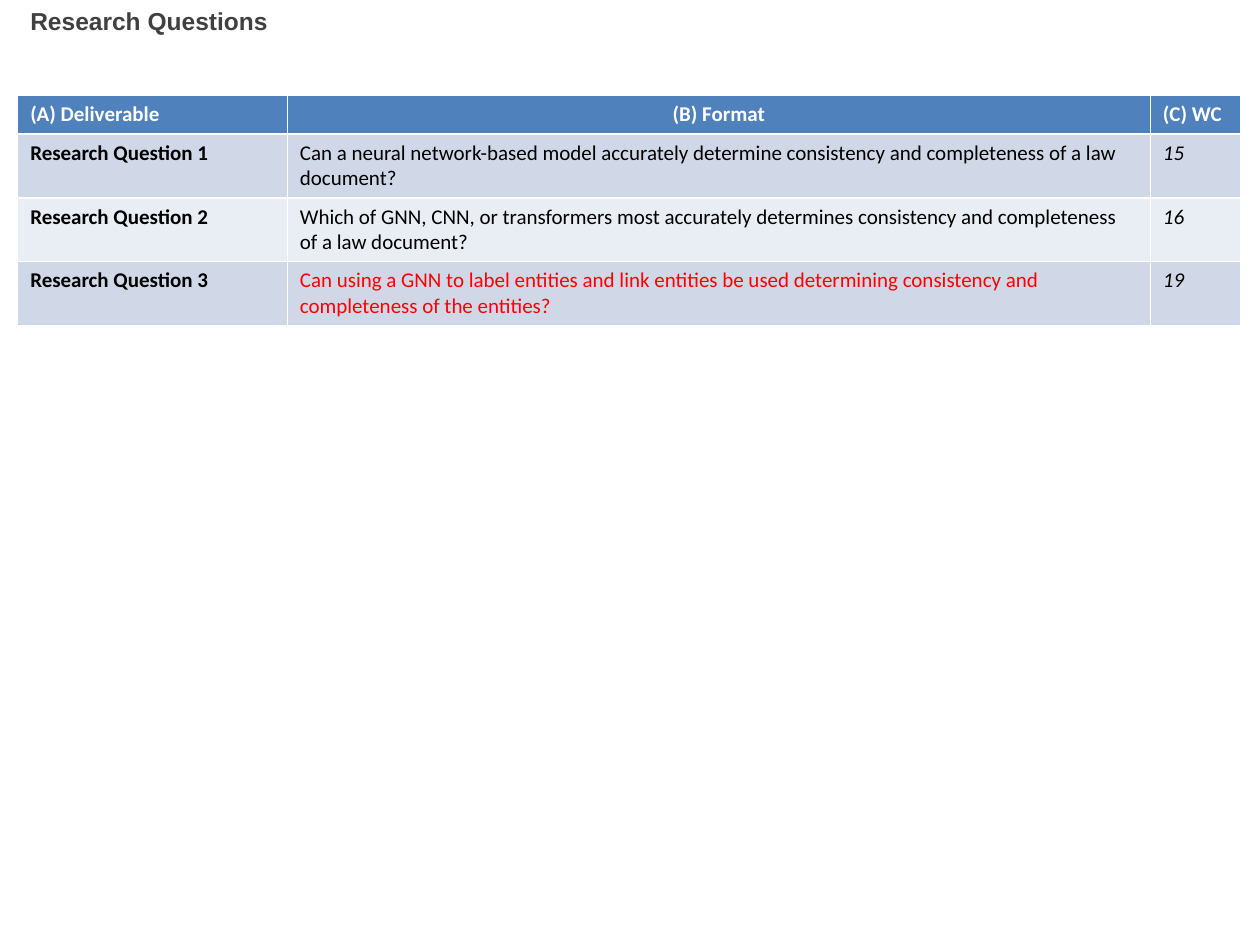
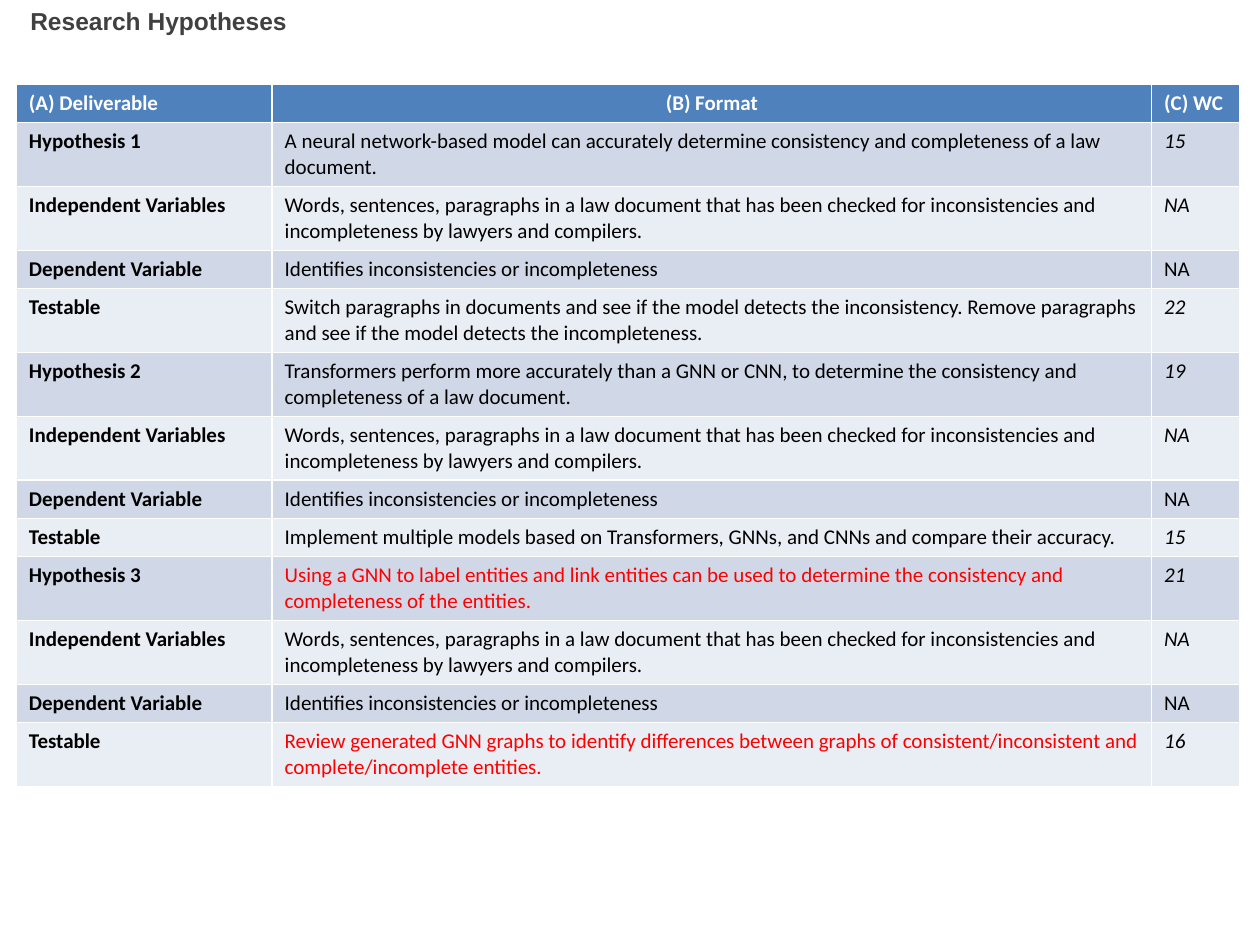
"""Build two slides that list research questions and hypotheses in tables."""
from pptx import Presentation
from pptx.dml.color import RGBColor
from pptx.enum.text import MSO_ANCHOR, MSO_AUTO_SIZE, PP_ALIGN
from pptx.util import Inches, Pt

WHITE = RGBColor(0xFF, 0xFF, 0xFF)
BLACK = RGBColor(0x00, 0x00, 0x00)
RED = RGBColor(0xFF, 0x00, 0x00)
GREY = RGBColor(0x40, 0x40, 0x40)
BLUE = RGBColor(0x4F, 0x81, 0xBD)
BANDS = RGBColor(0xE9, 0xED, 0xF4), RGBColor(0xD0, 0xD8, 0xE8)
ONE_LINE, TWO_LINES = 0.3, 0.5
LINE_CHARS = 96

HEADER = ("(A) Deliverable", "(B) Format", "(C) WC")
VARIABLES = [
    ("Independent Variables", "Words, sentences, paragraphs in a law document that has been checked "
     "for inconsistencies and incompleteness by lawyers and compilers.", "NA"),
    ("Dependent Variable", "Identifies inconsistencies or incompleteness", "NA"),
]
QUESTIONS = [
    ("Research Question 1", "Can a neural network-based model accurately determine consistency "
     "and completeness of a law document?", "15"),
    ("Research Question 2", "Which of GNN, CNN, or transformers most accurately determines "
     "consistency and completeness of a law document?", "16"),
    ("Research Question 3", "Can using a GNN to label entities and link entities be used "
     "determining consistency and completeness of the entities?", "19"),
]
HYPOTHESES = [
    ("Hypothesis 1", "A neural network-based model can accurately determine consistency "
     "and completeness of a law document.", "15"),
    *VARIABLES,
    ("Testable", "Switch paragraphs in documents and see if the model detects the inconsistency. "
     "Remove paragraphs and see if the model detects the incompleteness.", "22"),
    ("Hypothesis 2", "Transformers perform more accurately than a GNN or CNN, to determine "
     "the consistency and completeness of a law document.", "19"),
    *VARIABLES,
    ("Testable", "Implement multiple models based on Transformers, GNNs, and CNNs "
     "and compare their accuracy.", "15"),
    ("Hypothesis 3", "Using a GNN to label entities and link entities can be used to determine "
     "the consistency and completeness of the entities.", "21"),
    *VARIABLES,
    ("Testable", "Review generated GNN graphs to identify differences between graphs of "
     "consistent/inconsistent and complete/incomplete entities.", "16"),
]
SLIDES = [
    ("Research Questions", QUESTIONS, 0.14, 0.76, (2.14, 6.85, 0.72), {3}),
    ("Research Hypotheses", HYPOTHESES, 0.13, 0.67, (2.03, 6.98, 0.7), {9, 12}),
]

prs = Presentation()
prs.slide_width, prs.slide_height = Inches(10), Inches(7.5)

for title, body, left, top, widths, red_rows in SLIDES:
    s = prs.slides.add_slide(prs.slide_layouts[5])
    sp = s.shapes.title
    sp.left, sp.top, sp.width, sp.height = Inches(0.14), Inches(0), Inches(8.48), Inches(0.68)
    tf = sp.text_frame
    tf.text = title
    tf.auto_size = MSO_AUTO_SIZE.NONE
    tf.vertical_anchor = MSO_ANCHOR.TOP
    p = tf.paragraphs[0]
    p.alignment = PP_ALIGN.LEFT
    p.font.name, p.font.size, p.font.bold = "Arial", Pt(14), True
    p.font.color.rgb = GREY

    rows = [HEADER, *body]
    heights = [TWO_LINES if len(row[1]) > LINE_CHARS else ONE_LINE for row in rows]
    table = s.shapes.add_table(len(rows), len(HEADER), Inches(left), Inches(top),
                               Inches(sum(widths)), Inches(sum(heights))).table
    for column, width in zip(table.columns, widths):
        column.width = Inches(width)
    for i, (row, height) in enumerate(zip(rows, heights)):
        table.rows[i].height = Inches(height)
        for j, text in enumerate(row):
            cell = table.cell(i, j)
            cell.fill.solid()
            cell.fill.fore_color.rgb = BANDS[i % 2] if i else BLUE
            cell.text = text
            p = cell.text_frame.paragraphs[0]
            p.alignment = PP_ALIGN.CENTER if (i, j) == (0, 1) else PP_ALIGN.LEFT
            p.font.name, p.font.size = "Calibri", Pt(12)
            p.font.bold = i == 0 or j == 0
            p.font.italic = i > 0 and j == 2 and row[0] != "Dependent Variable"
            if i == 0:
                p.font.color.rgb = WHITE
            else:
                p.font.color.rgb = RED if j == 1 and i in red_rows else BLACK

prs.save("out.pptx")
